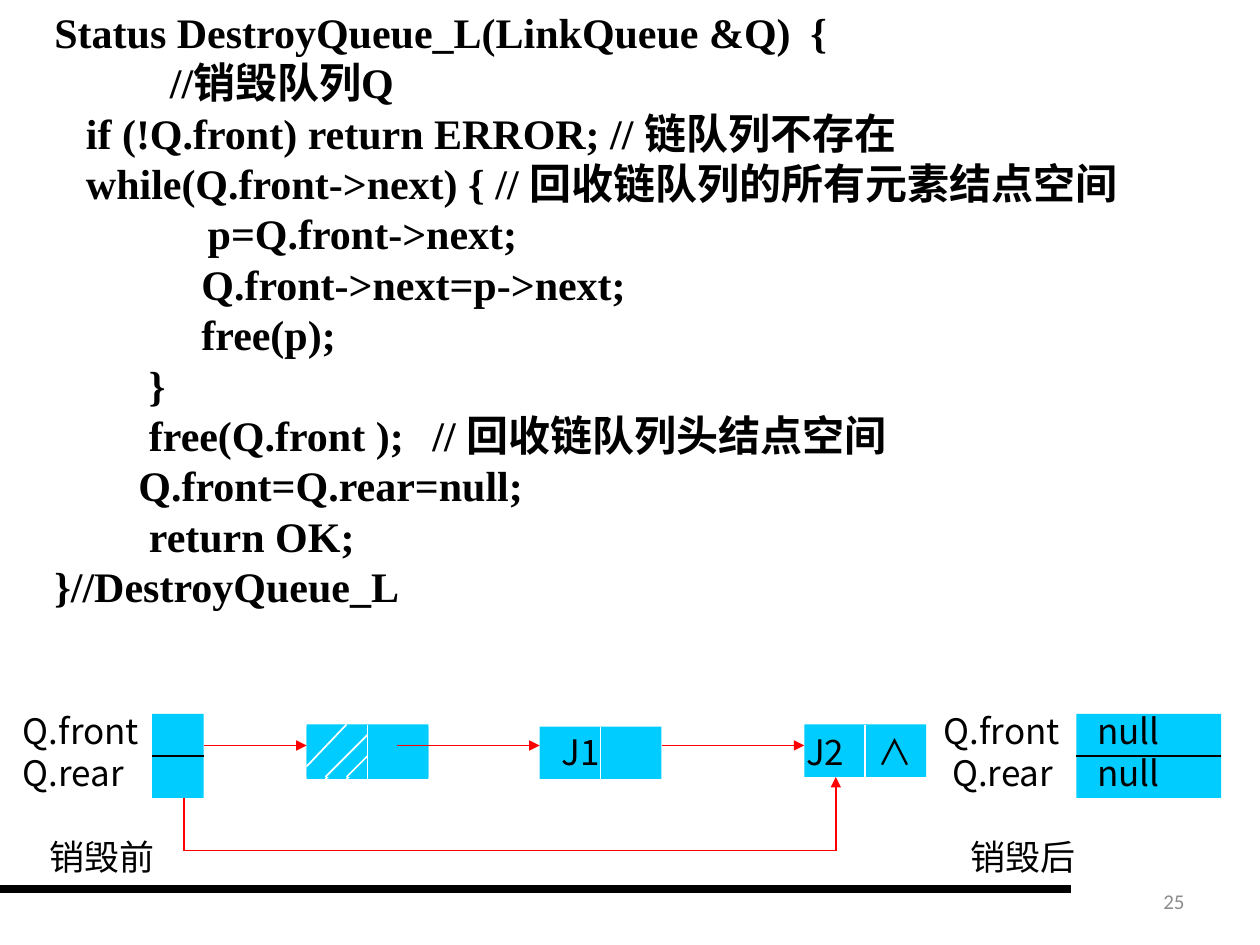
from lxml import etree
from pptx import Presentation, util as u
from pptx.dml.color import RGBColor
from pptx.enum import shapes, text
from pptx.oxml import ns

BLACK = RGBColor(0x00, 0x00, 0x00)
WHITE = RGBColor(0xFF, 0xFF, 0xFF)
CYAN = RGBColor(0x00, 0xCC, 0xFF)
RED = RGBColor(0xFF, 0x00, 0x00)
GRAY = RGBColor(0x8C, 0x8C, 0x8C)
SANS, SERIF = "Noto Sans CJK SC", "Times New Roman"

prs = Presentation()
prs.slide_width, prs.slide_height = u.Inches(10), u.Inches(7.5)
slide = prs.slides.add_slide(prs.slide_layouts[6])
COL = prs.slide_width / 120
ROW = prs.slide_height / 90


def line(x1, y1, x2, y2, color, width=1, arrow=False):
    s = slide.shapes.add_connector(
        shapes.MSO_CONNECTOR.STRAIGHT,
        int(x1 * COL), int(y1 * ROW), int(x2 * COL), int(y2 * ROW))
    s.line.color.rgb = color
    s.line.width = u.Pt(width)
    if arrow:
        etree.SubElement(s.line._get_or_add_ln(), ns.qn("a:tailEnd"), type="triangle")
    etree.SubElement(s._element.spPr, ns.qn("a:effectLst"))


def box(x, y, w, h, fill=None, lines=(), leading=24, align=text.PP_ALIGN.LEFT,
        anchor=text.MSO_ANCHOR.TOP, color=BLACK, **font):
    at = [int(v) for v in (x * COL, y * ROW, w * COL, h * ROW)]
    if fill is None:
        s = slide.shapes.add_textbox(*at)
    else:
        s = slide.shapes.add_shape(shapes.MSO_SHAPE.RECTANGLE, *at)
        s.shadow.inherit = False
        s.fill.solid()
        s.fill.fore_color.rgb = fill
        s.line.fill.background()
    tf = s.text_frame
    tf.word_wrap, tf.vertical_anchor = True, anchor
    for i, (words, indent, tab) in enumerate(lines):
        p = tf.paragraphs[0] if i == 0 else tf.add_paragraph()
        p.alignment, p.line_spacing = align, u.Pt(leading)
        pPr = p._p.get_or_add_pPr()
        pPr.set("marL", "0")
        pPr.set("indent", str(int(indent * COL)))
        if tab:
            stops = etree.SubElement(pPr, ns.qn("a:tabLst"))
            etree.SubElement(stops, ns.qn("a:tab"), pos=str(int(tab * COL)), algn="l")
        r = p.add_run()
        r.text = words
        for name, value in {"name": SANS, "size": u.Pt(20), **font}.items():
            setattr(r.font, name, value)
        r.font.color.rgb = color


line(0, 84.7, 102, 84.7, BLACK, 4.5)
box(86, 83.4, 28, 4.8, lines=[("25", 0, 0)], leading=14.4, align=text.PP_ALIGN.RIGHT,
    anchor=text.MSO_ANCHOR.MIDDLE, color=GRAY, name="Calibri", size=u.Pt(12))

code = [
    ("Status DestroyQueue_L(LinkQueue &Q)\t{", 0, 72.1),
    ("//销毁队列Q", 11, 0),
    ("if (!Q.front) return ERROR; // 链队列不存在", 3, 0),
    ("while(Q.front->next) {\t// 回收链队列的所有元素结点空间", 3, 46),
    ("p=Q.front->next;", 14.6, 0),
    ("Q.front->next=p->next;", 14, 0),
    ("free(p);", 14, 0),
    ("}", 9, 0),
    ("free(Q.front );\t// 回收链队列头结点空间", 9, 56.3),
    ("Q.front=Q.rear=null;", 8, 0),
    ("return OK;", 9, 0),
    ("}//DestroyQueue_L", 0, 0),
]
box(4, 0, 109.8, 59.4, WHITE, code, 28.8, name=SERIF, size=u.Pt(24), bold=True)

for x, w in [(14.5, 4.9), (102.5, 13.8)]:
    box(x, 68, w, 8, CYAN)
    line(x, 72, x + w, 72, BLACK)

NODE_W, NODE_H = 11.6, 5
HEAD, FIRST, LAST = 29.2, 51.4, 76.6
for x, y in [(HEAD, 69.2), (HEAD, 69), (FIRST, 69.2), (LAST, 69)]:
    middle = x + NODE_W / 2
    box(x, y, NODE_W, NODE_H, CYAN)
    line(middle, y, middle, y + NODE_H, WHITE)
    if x == HEAD:
        line(middle - 2, y, x, y + 4, WHITE)
        line(middle, y + 1, middle - 4, y + NODE_H, WHITE)
        line(middle, y + 3, middle - 2, y + NODE_H, WHITE)

for x1, x2 in [(19.4, HEAD), (37.8, FIRST), (FIRST + NODE_W, LAST)]:
    line(x1, 71, x2, 71, RED, arrow=True)
line(17.5, 76, 17.5, 81, RED)
line(17.5, 81, 79.6, 81, RED)
line(79.6, 81, 79.6, 74, RED, arrow=True)

labels = [
    ("Q.front", 1, 67, 14.5, SANS),
    ("Q.rear", 1, 71, 14.5, SANS),
    ("J1", 52.3, 69, 7.8, SANS),
    ("J2", 75.6, 69, 7.8, SANS),
    ("∧", 82.4, 69, 4.8, SANS),
    ("Q.front", 88.7, 67, 16.3, SANS),
    ("Q.rear", 89.5, 71, 13.8, SANS),
    (" 销毁前", 2.8, 79, 25, SERIF),
    (" 销毁后", 90.5, 79, 25, SERIF),
]
for words, x, y, w, name in labels:
    box(x, y, w, 5.2, lines=[(words, 0, 0)], name=name)
box(103.3, 67, 13.8, 9.2, lines=[("null", 0, 0)] * 2)

prs.save("out.pptx")
